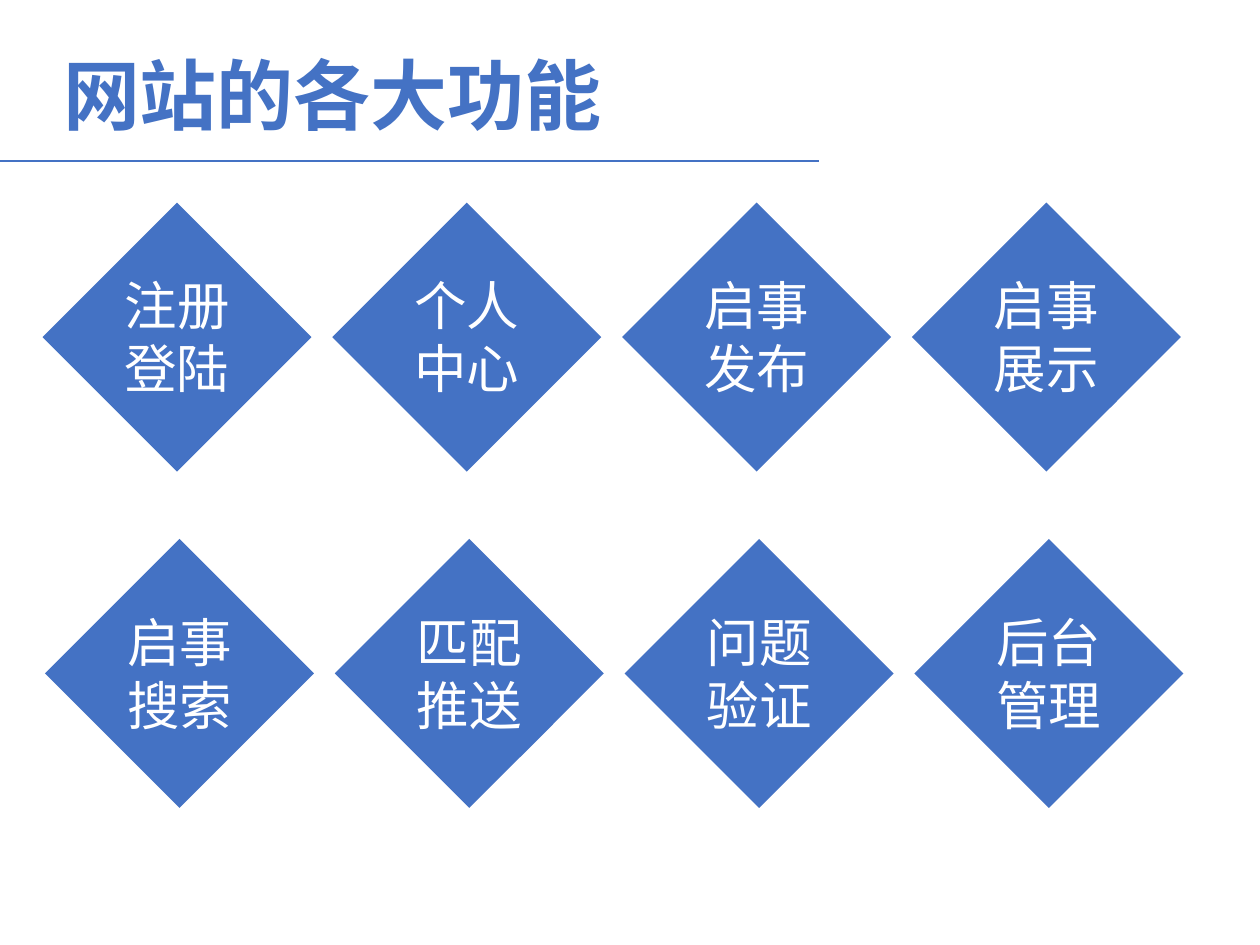
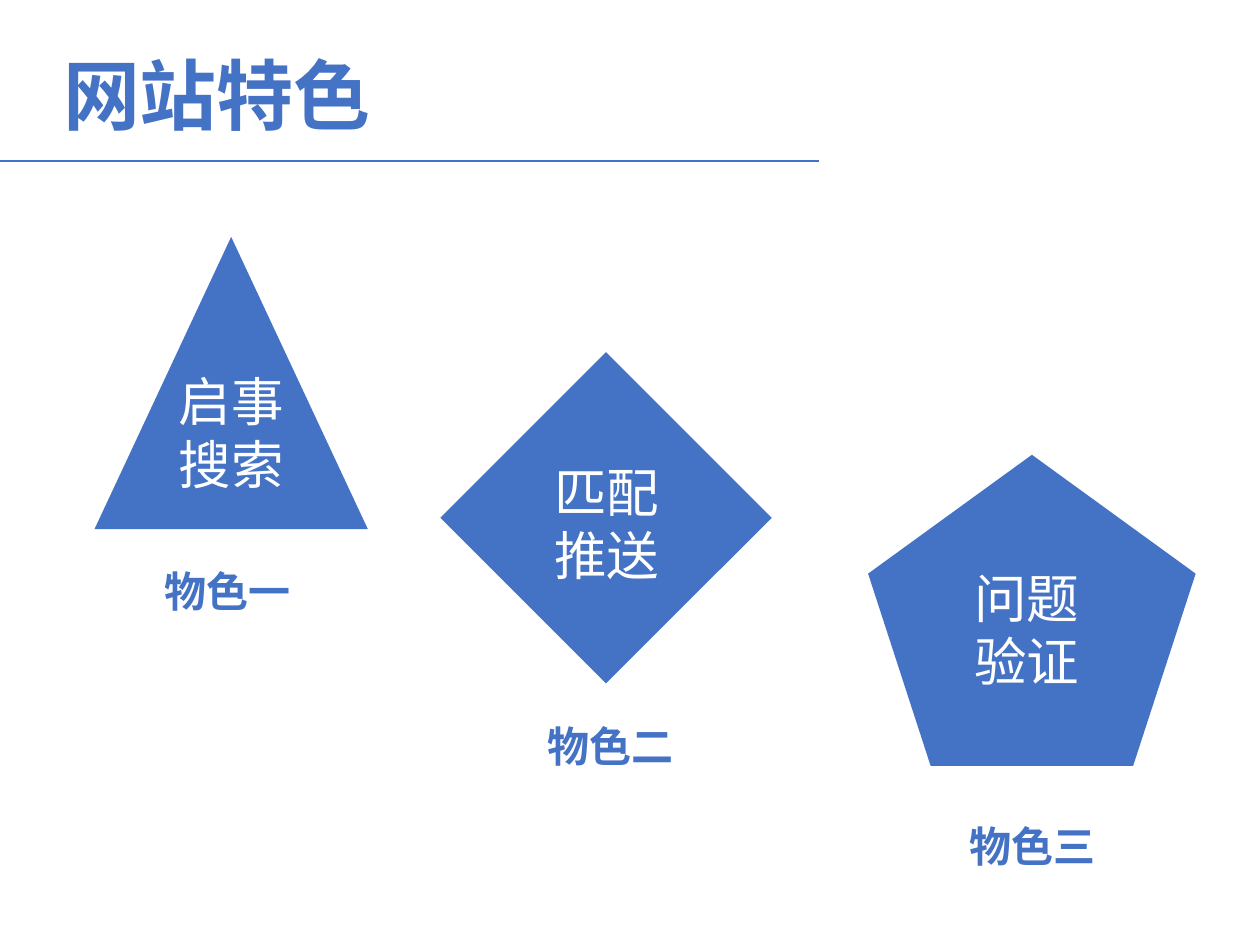
from dataclasses import dataclass

from lxml import etree
from pptx import Presentation
from pptx import util as u
from pptx.dml.color import RGBColor
from pptx.enum import shapes, text
from pptx.oxml.ns import qn

PX = 9144  # EMU per px, 100 px to the inch


@dataclass(frozen=True)
class Theme:
    blue: RGBColor = RGBColor(0x44, 0x72, 0xC4)
    white: RGBColor = RGBColor(0xFF, 0xFF, 0xFF)
    font: str = "Noto Sans CJK SC"
    title_size: int = 44
    label_size: int = 30
    caption_size: int = 24
    leading: float = 1.2


theme = Theme()


def write(frame, words, size, color, bold=False, align=text.PP_ALIGN.CENTER):
    """Fill a text frame with one paragraph per line of words."""
    frame.word_wrap = True
    frame.vertical_anchor = text.MSO_ANCHOR.TOP
    frame.text = words
    for paragraph in frame.paragraphs:
        paragraph.alignment = align
        paragraph.line_spacing = u.Pt(round(size * theme.leading))
        font = paragraph.font
        font.size, font.bold = u.Pt(size), bold
        font.color.rgb = color
        font.name = theme.font
        defaults = paragraph._p.pPr.find(qn("a:defRPr"))
        etree.SubElement(defaults, qn("a:ea"), typeface=theme.font)


def add_figure(slide, preset, box, rotation, words, words_box):
    """Draw a blue figure with a white label on it."""
    figure = slide.shapes.add_shape(preset, *[v * PX for v in box])
    figure.rotation = rotation
    figure.shadow.inherit = False
    figure.fill.solid()
    figure.fill.fore_color.rgb = theme.blue
    figure.line.fill.background()
    label = slide.shapes.add_textbox(*[v * PX for v in words_box]).text_frame
    write(label, words, theme.label_size, theme.white)
    label.auto_size = text.MSO_AUTO_SIZE.SHAPE_TO_FIT_TEXT


deck = Presentation()
deck.slide_width, deck.slide_height = 1000 * PX, 750 * PX

# Shared heading: title and rule
slides = []
for heading in ("网站的各大功能", "网站特色"):
    slide = deck.slides.add_slide(deck.slide_layouts[5])
    title = slide.shapes.title
    title.left, title.top, title.width, title.height = [v * PX for v in (40, 32, 803, 71)]
    write(title.text_frame, heading, theme.title_size, theme.blue, True, text.PP_ALIGN.LEFT)
    title.text_frame.auto_size = text.MSO_AUTO_SIZE.NONE

    rule = slide.shapes.add_connector(
        shapes.MSO_CONNECTOR.STRAIGHT, 0, 128 * PX, 650 * PX, 128 * PX)
    rule.line.color.rgb = theme.blue
    rule.line.width = u.Pt(1.25)
    etree.SubElement(rule._element.spPr, qn("a:effectLst"))
    slides.append(slide)

functions_slide, features_slide = slides

# Functions: two rows of four diamonds
function_rows = [
    (65, 192, ("注册登陆", "个人中心", "启事发布", "启事展示")),
    (67, 459, ("启事搜索", "匹配推送", "问题验证", "后台管理")),
]
for row_left, top, functions in function_rows:
    for column, function in enumerate(functions):
        left = row_left + 230 * column
        add_figure(functions_slide, shapes.MSO_SHAPE.RECTANGLE, (left, top, 151, 151), 315,
                   function, (left + 8, top + 20, 135, 111))

# Features: three figures stepping down, each with a caption
features = [
    (shapes.MSO_SHAPE.ISOSCELES_TRIANGLE, (75, 188, 217, 232), 0,
     "启事\n搜索", (77, 288, 213, 111), "物色一", (67, 444)),
    (shapes.MSO_SHAPE.RECTANGLE, (388, 318, 186, 186), 45,
     "匹配推送", (423, 360, 117, 111), "物色二", (371, 567)),
    (shapes.MSO_SHAPE.REGULAR_PENTAGON, (689, 361, 260, 247), 0,
     "问题\n验证", (745, 444, 140, 111), "物色三", (706, 646)),
]
for preset, box, rotation, feature, feature_box, caption, (left, top) in features:
    add_figure(features_slide, preset, box, rotation, feature, feature_box)
    caption_frame = features_slide.shapes.add_textbox(
        left * PX, top * PX, 227 * PX, 50 * PX).text_frame
    write(caption_frame, caption, theme.caption_size, theme.blue, True)
    caption_frame.auto_size = text.MSO_AUTO_SIZE.SHAPE_TO_FIT_TEXT

deck.save("out.pptx")
